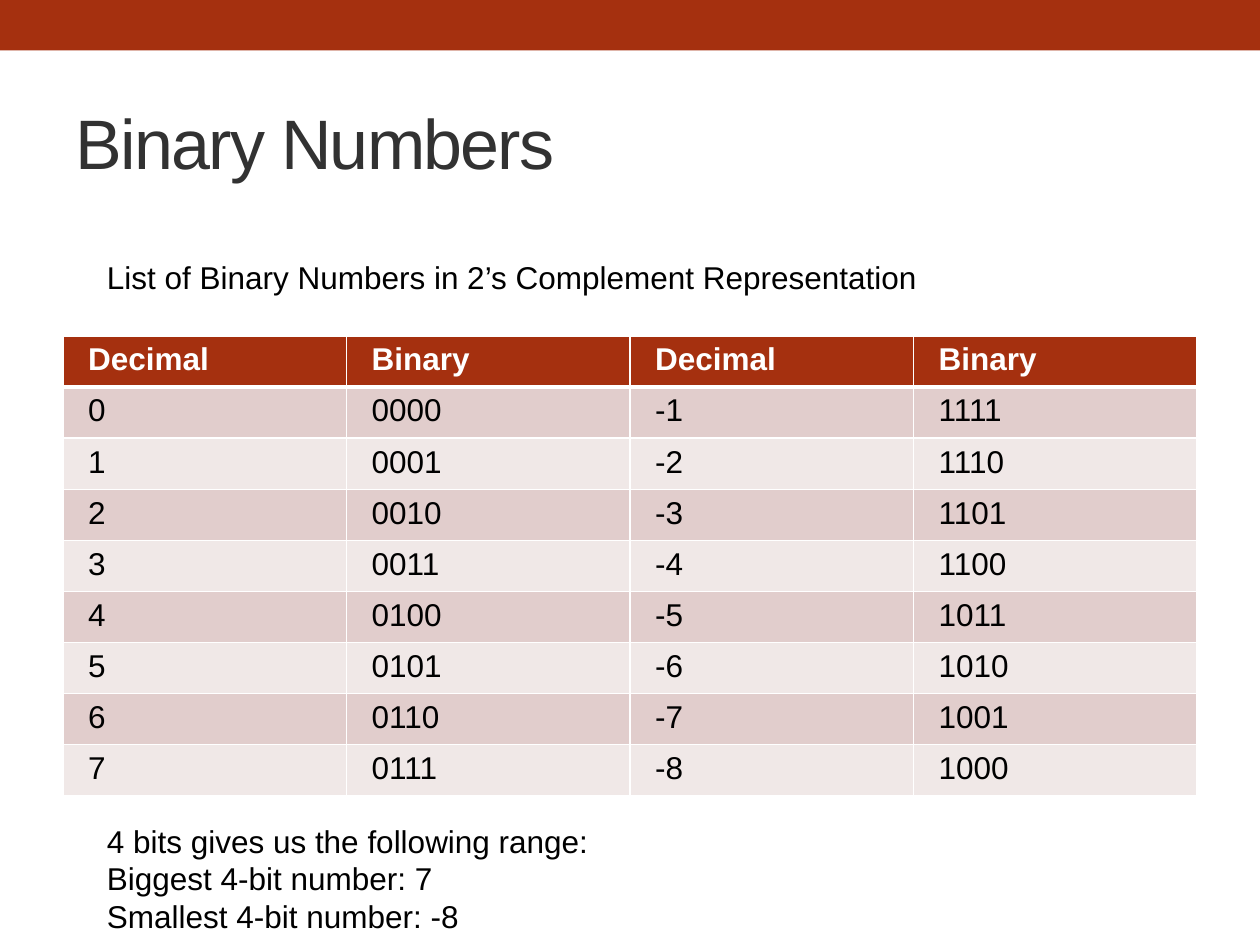
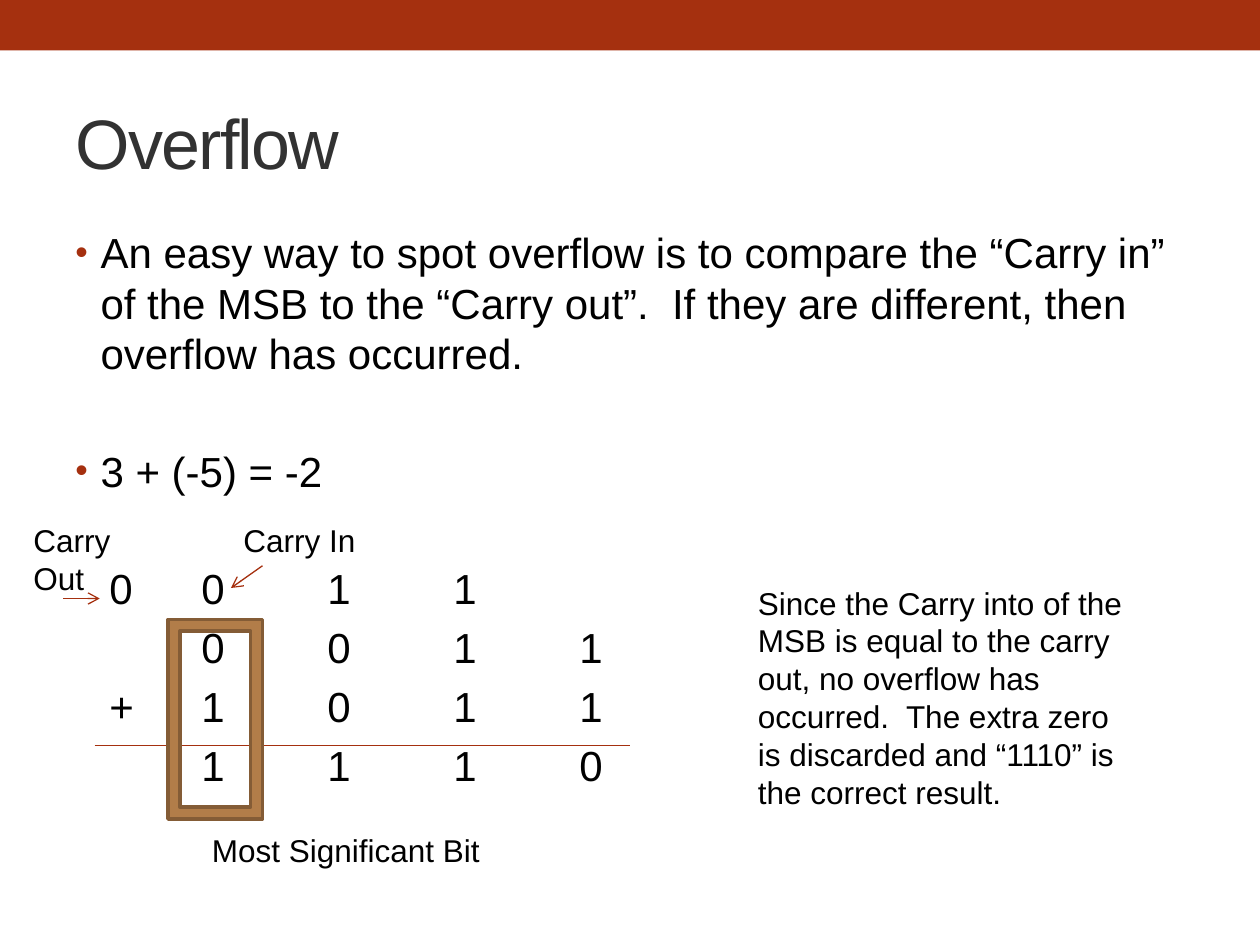
from lxml.etree import SubElement
from pptx import Presentation
from pptx.dml.color import RGBColor
from pptx.enum.shapes import MSO_CONNECTOR as CONN, MSO_SHAPE as SHAPE
from pptx.enum.text import MSO_ANCHOR as ANCHOR
from pptx.oxml.ns import qn
from pptx.util import Pt

FONT = "Arial"
RED, DARK, BLACK, WHITE = "A5300F", "323232", "000000", "FFFFFF"
BANDS = "E1CDCC", "F0E8E7"
FRAME_FILL, FRAME_LINE = "B27D49", "845C36"
SLIDE_W, SLIDE_H = 720, 540
LEADING = 1.2


def rgb(value):
    """Turn a hex string into a colour."""
    return RGBColor.from_string(value)


def sub(parent, tag, **attrs):
    """Append a drawing element with attributes."""
    return SubElement(parent, qn(f"a:{tag}"), {k: str(v) for k, v in attrs.items()})


def write(tf, text, size=18, color=BLACK, bold=False, leading=LEADING, gap=0):
    """Write each line of text as a paragraph and return the paragraphs."""
    tf.word_wrap = True
    for i, line in enumerate(text.split("\n")):
        p = tf.paragraphs[0] if i == 0 else tf.add_paragraph()
        if leading:
            p.line_spacing = Pt(size * leading)
        if i:
            p.space_before = Pt(gap)
        r = p.add_run()
        r.text = line
        r.font.name, r.font.size, r.font.bold = FONT, Pt(size), bold
        r.font.color.rgb = rgb(color)
    return tf.paragraphs


def add_text(slide, box, text, **fmt):
    """Add a text box and return its paragraphs."""
    return write(slide.shapes.add_textbox(*map(Pt, box)).text_frame, text, **fmt)


def add_box(slide, kind, box, fill, line=None, width=2.08):
    """Add a filled preset shape."""
    sp = slide.shapes.add_shape(kind, *map(Pt, box))
    sp.shadow.inherit = False
    sp.fill.solid()
    sp.fill.fore_color.rgb = rgb(fill)
    if line:
        sp.line.color.rgb, sp.line.width = rgb(line), Pt(width)
    else:
        sp.line.fill.background()


def add_line(slide, start, end, arrow=False):
    """Add a thin line, with an arrowhead at its end if asked."""
    line = slide.shapes.add_connector(CONN.STRAIGHT, *map(Pt, start + end))
    line.line.color.rgb, line.line.width = rgb(RED), Pt(0.75)
    if arrow:
        sub(line.line._get_or_add_ln(), "tailEnd", type="arrow")
    sub(line._element.spPr, "effectLst")


def add_slide(prs, title):
    """Add a slide with the top band and the formatted title."""
    slide = prs.slides.add_slide(prs.slide_layouts[5])
    add_box(slide, SHAPE.RECTANGLE, (0, 0, SLIDE_W, 28.8), RED)
    sp = slide.shapes.title
    sp.left, sp.top, sp.width, sp.height = map(Pt, (36, 42, 648, 78))
    tf = sp.text_frame
    tf.vertical_anchor = ANCHOR.MIDDLE
    for p in write(tf, title, size=40, color=DARK):
        p.alignment = 1
        p.runs[0].font._element.set("spc", "-100")
    return slide


def set_borders(cell, bottom):
    """Give a cell white borders."""
    for side in "LRTB":
        width = bottom if side == "B" else 1
        ln = sub(cell._tc.get_or_add_tcPr(), f"ln{side}", w=Pt(width))
        sub(sub(ln, "solidFill"), "srgbClr", val=WHITE)


def number_table(slide, box, rows):
    """Draw the banded table with its red header row."""
    table = slide.shapes.add_table(len(rows), len(rows[0]), *map(Pt, box)).table
    table.horz_banding = False
    for r, row in enumerate(rows):
        table.rows[r].height = Pt(box[3] / len(rows))
        head = r == 0
        for c, text in enumerate(row):
            cell = table.cell(r, c)
            cell.margin_left = cell.margin_right = Pt(14.4)
            set_borders(cell, 3 if head else 1)
            cell.fill.solid()
            cell.fill.fore_color.rgb = rgb(RED if head else BANDS[(r - 1) % 2])
            write(cell.text_frame, text, color=WHITE if head else BLACK,
                  bold=head, leading=None)


def bullets(slide, box, text):
    """Write large paragraphs with red bullets."""
    for p in add_text(slide, box, text, size=24, gap=38.4):
        pPr = p._p.get_or_add_pPr()
        pPr.set("marL", str(Pt(14.4)))
        pPr.set("indent", str(Pt(-14.4)))
        sub(sub(pPr, "buClr"), "srgbClr", val=RED)
        sub(pPr, "buSzPct", val=85000)
        sub(pPr, "buFont", typeface=FONT)
        sub(pPr, "buChar", char="•")


def addition(slide, box, rows):
    """Lay out the binary sum in tabbed columns, with its marks and labels."""
    x, y, w, h = box
    text = "\n".join("\t" + "\t".join(row) for row in rows)
    for p in add_text(slide, box, text, size=24, gap=4.8):
        tabs = sub(p._p.get_or_add_pPr(), "tabLst")
        for stop in (19.5, 72, 144, 216, 288):
            sub(tabs, "tab", pos=Pt(stop), algn="l")
    add_line(slide, (x + 18, y + 108), (x + 324, y + 108))
    add_box(slide, SHAPE.FRAME, (x + 60, y + 36, 54, 114), FRAME_FILL, FRAME_LINE)
    add_text(slide, (x + 78, y + 153.6, 210, 28.8), "Most Significant Bit")
    add_text(slide, (x + 96, y - 24, 138, 28.8), "Carry In")
    add_text(slide, (x - 24, y - 24, 66, 51), "Carry Out")
    add_line(slide, (x + 114, y + 5.3), (x + 96, y + 18), arrow=True)
    add_line(slide, (x, y + 24), (x + 21, y + 24), arrow=True)


def numbers_slide(prs):
    """Build the list of four-bit numbers."""
    slide = add_slide(prs, "Binary Numbers")
    rows = [("Decimal", "Binary") * 2]
    rows += [(str(n), f"{n:04b}", str(-n - 1), f"{15 - n:04b}") for n in range(8)]
    number_table(slide, (36, 192, 648, 262.8), rows)
    add_text(slide, (54, 144, 606, 30),
             "List of Binary Numbers in 2’s Complement Representation")
    add_text(slide, (54, 466, 462, 72.7),
             "4 bits gives us the following range:\n"
             "Biggest 4-bit number: 7\nSmallest 4-bit number: -8")


def overflow_slide(prs):
    """Build the overflow explanation with its worked sum."""
    slide = add_slide(prs, "Overflow")
    bullets(slide, (36, 126, 648, 162),
            "An easy way to spot overflow is to compare the “Carry in” of the MSB "
            "to the “Carry out”.  If they are different, then overflow has occurred.\n"
            "3 + (-5) = -2")
    addition(slide, (36, 318, 360, 138),
             [("0", "0", "1", "1"), ("", "0", "0", "1", "1"),
              ("+", "1", "0", "1", "1"), ("", "1", "1", "1", "0")])
    add_text(slide, (426, 330, 228, 138),
             "Since the Carry into of the MSB is equal to the carry out, no overflow "
             "has occurred.  The extra zero is discarded and “1110” is the correct result.")


def main():
    """Build and save the presentation."""
    prs = Presentation()
    prs.slide_width, prs.slide_height = Pt(SLIDE_W), Pt(SLIDE_H)
    numbers_slide(prs)
    overflow_slide(prs)
    prs.save("out.pptx")


if __name__ == "__main__":
    main()
